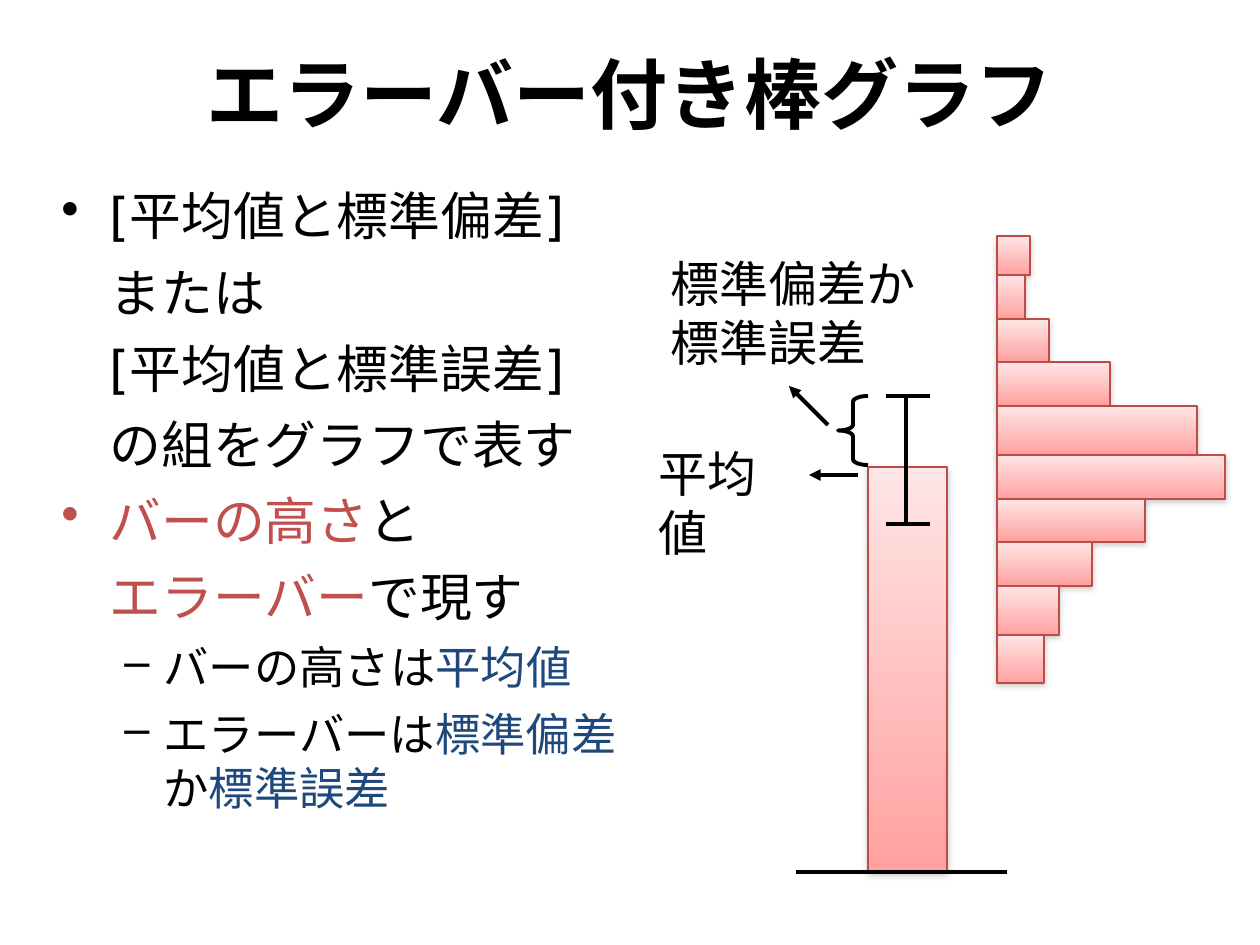
from lxml import etree
from pptx import Presentation
from pptx import util as u
from pptx.dml.color import RGBColor
from pptx.enum import shapes, text
from pptx.oxml.ns import qn

PX = 914400 / 126
BLACK = RGBColor(0x00, 0x00, 0x00)
RED = RGBColor(0xC0, 0x50, 0x4D)
BLUE = RGBColor(0x1F, 0x49, 0x7D)
BAR_LIGHT = RGBColor(0xFF, 0xE5, 0xE5)
BAR_DARK = RGBColor(0xFF, 0xA2, 0xA1)
BAR_LINE = RGBColor(0xBE, 0x4B, 0x48)
SHADOW = RGBColor(0x80, 0x80, 0x80)
BODY_FONT, LABEL_FONT = "DejaVu Sans", "Cabin"

# Bullet, level and coloured runs of each body paragraph
BODY = [
    ("•", 0, [("[平均値と標準偏差]", BLACK)]),
    (None, 0, [("または", BLACK)]),
    (None, 0, [("[平均値と標準誤差]", BLACK)]),
    (None, 0, [("の組をグラフで表す", BLACK)]),
    ("•", 0, [("バーの高さ", RED), ("と", BLACK)]),
    (None, 0, [("エラーバー", RED), ("で現す", BLACK)]),
    ("–", 1, [("バーの高さは", BLACK), ("平均値", BLUE)]),
    ("–", 1, [("エラーバーは", BLACK), ("標準偏差", BLUE),
              ("か", BLACK), ("標準誤差", BLUE)]),
]
# Size, space before, left margin and hanging indent (px) by level
LEVELS = [(29.6, 8, 48, 48), (25.9, 7, 102, 39)]

# Histogram: edges between the bars and their widths
HISTOGRAM_LEFT = 997
EDGES = [236, 275, 319, 362, 406, 455, 499, 542, 586, 635, 683]
WIDTHS = [33, 28, 52, 113, 200, 228, 148, 95, 62, 47]


def px(value):
    return u.Emu(round(value * PX))


def place(shape, left, top, width, height):
    shape.left, shape.top = px(left), px(top)
    shape.width, shape.height = px(width), px(height)


def add_text(paragraph, content, *, size, font, color=BLACK, bold=False):
    run = paragraph.add_run()
    run.text = content
    run.font.size = u.Pt(size)
    run.font.name = font
    run.font.bold = bold
    run.font.color.rgb = color
    east_asian = etree.SubElement(run._r.get_or_add_rPr(), qn("a:ea"))
    east_asian.set("typeface", font)


def set_bullet(paragraph, bullet, color, margin, hanging):
    properties = paragraph._p.get_or_add_pPr()
    properties.set("marL", str(px(margin)))
    if not bullet:
        properties.set("indent", "0")
        etree.SubElement(properties, qn("a:buNone"))
        return
    properties.set("indent", str(-px(hanging)))
    bullet_color = etree.SubElement(properties, qn("a:buClr"))
    etree.SubElement(bullet_color, qn("a:srgbClr")).set("val", str(color))
    etree.SubElement(properties, qn("a:buChar")).set("char", bullet)


def add_title(slide):
    title = slide.shapes.title
    place(title, 63, 38, 1134, 110)
    title.text_frame.vertical_anchor = text.MSO_ANCHOR.MIDDLE
    paragraph = title.text_frame.paragraphs[0]
    paragraph.alignment = text.PP_ALIGN.CENTER
    add_text(paragraph, "エラーバー付き棒グラフ", size=44, font=BODY_FONT, bold=True)


def add_body(slide):
    frame = slide.shapes.add_textbox(px(49), px(178), px(581), px(689)).text_frame
    frame.word_wrap = True
    for index, (bullet, level, runs) in enumerate(BODY):
        paragraph = frame.add_paragraph() if index else frame.paragraphs[0]
        size, before, margin, hanging = LEVELS[level]
        paragraph.level = level
        paragraph.space_before = u.Pt(before)
        set_bullet(paragraph, bullet, runs[0][1], margin, hanging)
        for content, color in runs:
            add_text(paragraph, content, size=size, font=BODY_FONT, color=color)


def add_label(slide, lines, left, top, width, height):
    box = slide.shapes.add_textbox(px(left), px(top), px(width), px(height))
    frame = box.text_frame
    frame.word_wrap = False
    frame.auto_size = text.MSO_AUTO_SIZE.SHAPE_TO_FIT_TEXT
    for index, line in enumerate(lines):
        paragraph = frame.add_paragraph() if index else frame.paragraphs[0]
        add_text(paragraph, line, size=28, font=LABEL_FONT)


def add_bar(container, left, top, width, height):
    bar = container.shapes.add_shape(shapes.MSO_SHAPE.RECTANGLE,
                                     px(left), px(top), px(width), px(height))
    bar.fill.gradient()
    bar.fill.gradient_angle = 270
    for stop, color in zip(bar.fill.gradient_stops, (BAR_LIGHT, BAR_DARK)):
        stop.color.rgb = color
    bar.line.color.rgb = BAR_LINE
    bar.line.width = u.Pt(0.75)
    # Soft shadow below the bar
    bar.shadow.inherit = False
    effects = bar._element.spPr.find(qn("a:effectLst"))
    shadow = etree.SubElement(effects, qn("a:outerShdw"), blurRad="40000",
                              dist=str(u.Pt(1.6)), dir="5400000", rotWithShape="0")
    color = etree.SubElement(shadow, qn("a:srgbClr"), val=str(SHADOW))
    etree.SubElement(color, qn("a:alpha"), val="38000")


def add_line(slide, x1, y1, x2, y2, arrow=False):
    line = slide.shapes.add_connector(shapes.MSO_CONNECTOR.STRAIGHT,
                                      px(x1), px(y1), px(x2), px(y2))
    line.line.color.rgb = BLACK
    line.line.width = u.Pt(2.25)
    if arrow:
        etree.SubElement(line.line._get_or_add_ln(), qn("a:tailEnd"), type="triangle")
    etree.SubElement(line._element.spPr, qn("a:effectLst"))


def add_brace(slide, left, top, width, height):
    brace = slide.shapes.add_shape(shapes.MSO_SHAPE.LEFT_BRACE,
                                   px(left), px(top), px(width), px(height))
    brace.adjustments[0] = 0.19
    brace.fill.background()
    brace.line.color.rgb = BLACK
    brace.line.width = u.Pt(2.25)
    brace.shadow.inherit = False


def add_error_bar(slide, center, top, bottom):
    for y in (top, bottom):
        add_line(slide, center - 20, y, center + 24, y)
    add_line(slide, center, top, center, bottom)


def add_histogram(slide):
    group = slide.shapes.add_group_shape()
    for top, bottom, width in zip(EDGES, EDGES[1:], WIDTHS):
        add_bar(group, HISTOGRAM_LEFT, top, width, bottom - top)


def main():
    presentation = Presentation()
    presentation.slide_width, presentation.slide_height = px(1260), px(945)
    slide = presentation.slides.add_slide(presentation.slide_layouts[5])

    # Title and explanation
    add_title(slide)
    add_body(slide)

    # Mean bar with its error bar, and the distribution behind it
    add_bar(slide, 868, 467, 79, 405)
    add_error_bar(slide, 906, 396, 524)
    add_histogram(slide)

    # Labels and pointers
    add_label(slide, ["平均値"], 646, 437, 171, 72)
    add_line(slide, 858, 475, 809, 475, arrow=True)
    add_brace(slide, 838, 396, 30, 69)
    add_label(slide, ["標準偏差か", "標準誤差"], 658, 247, 270, 131)
    add_line(slide, 828, 425, 789, 386, arrow=True)

    # Base line
    add_line(slide, 796, 872, 1007, 872)

    presentation.save("out.pptx")


if __name__ == "__main__":
    main()
